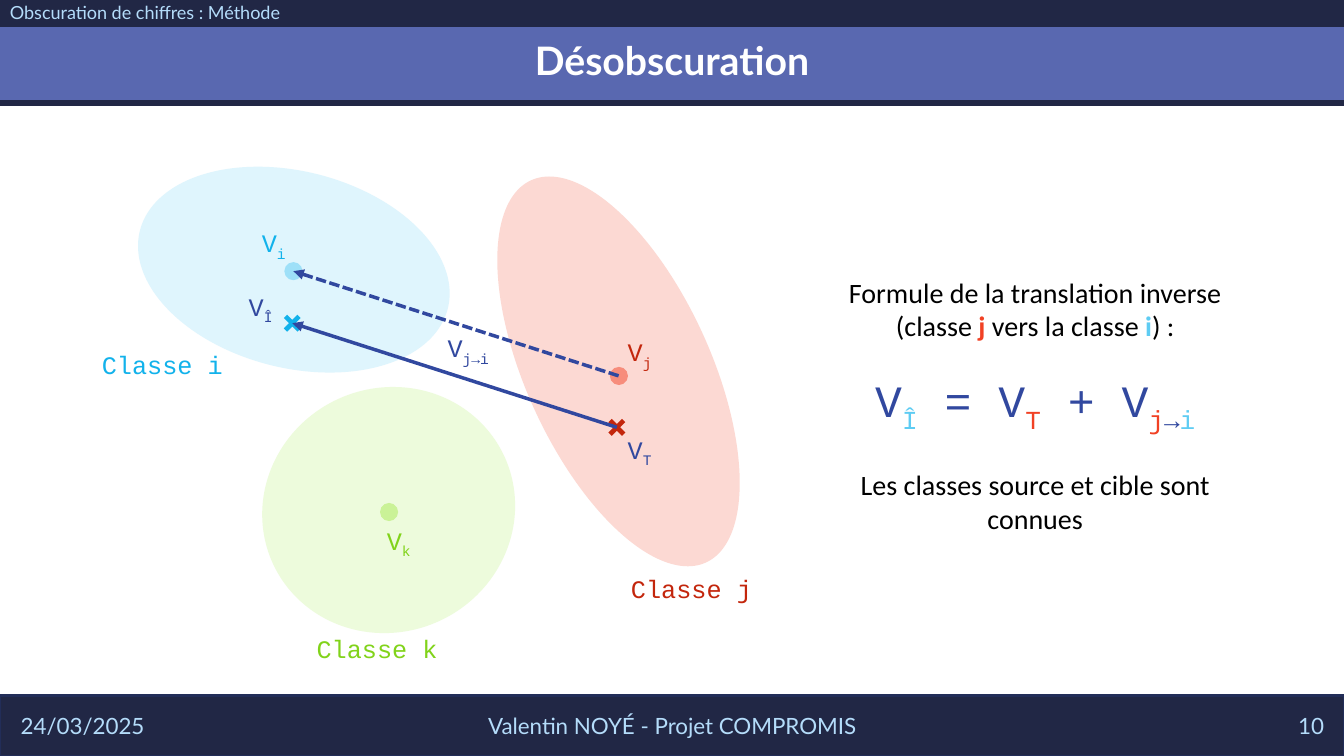
from lxml.etree import SubElement as Sub
from pptx import Presentation
from pptx.dml.color import RGBColor as RGB
from pptx.enum.dml import MSO_LINE as Dash
from pptx.enum.shapes import MSO_CONNECTOR as Link, MSO_SHAPE as Form
from pptx.enum.text import MSO_ANCHOR as Anchor, MSO_AUTO_SIZE as Fit, PP_ALIGN as Align
from pptx.oxml.ns import qn
from pptx.util import Inches, Pt

WIDE, HIGH = Inches(13.33), Inches(7.5)

NAVY = RGB(0x21, 0x27, 0x45)
EDGE = RGB(0x22, 0x2D, 0x58)
BAND = RGB(0x59, 0x68, 0xB0)
PALE = RGB(0xB4, 0xDC, 0xFA)
WHITE = RGB(0xFF, 0xFF, 0xFF)
BLACK = RGB(0x00, 0x00, 0x00)
INK = RGB(0x31, 0x48, 0x9F)
BLUE = RGB(0x12, 0xB2, 0xEB)
RED = RGB(0xC3, 0x26, 0x0C)
GREEN = RGB(0x81, 0xD3, 0x1A)
SKY = RGB(0x5E, 0xCC, 0xF3)
CORAL = RGB(0xF1, 0x41, 0x24)
BLUE_ZONE, BLUE_DOT = RGB(0xDF, 0xF5, 0xFD), RGB(0x9E, 0xE0, 0xF8)
RED_ZONE, RED_DOT = RGB(0xFC, 0xD9, 0xD3), RGB(0xF7, 0x8D, 0x7C)
GREEN_ZONE, GREEN_DOT = RGB(0xED, 0xFB, 0xDC), RGB(0xCA, 0xF2, 0x97)

SANS, MONO, BODY = "Lato", "Courier New", "Calibri"


def place(x, y, w, h):
    """Turn percentages of the slide into lengths."""
    return [round(part * side / 100)
            for part, side in zip((x, y, w, h), (WIDE, HIGH, WIDE, HIGH))]


def draw(slide, form, box, fill, edge=None, weight=0, turn=0):
    shape = slide.shapes.add_shape(form, *place(*box))
    shape.shadow.inherit = False
    shape.fill.solid()
    shape.fill.fore_color.rgb = fill
    shape.rotation = turn
    if edge is None:
        shape.line.fill.background()
    else:
        shape.line.color.rgb = edge
        shape.line.width = Pt(weight)
    return shape


def mark(slide, form, mid, size, fill):
    """Draw a small sign centred on a point."""
    (x, y), (w, h) = mid, size
    return draw(slide, form, (x - w / 2, y - h / 2, w, h), fill)


def arrow(slide, tip, base, dash=None):
    """Draw a line with its arrowhead at the tip."""
    x, y, end_x, end_y = place(*tip, *base)
    line = slide.shapes.add_connector(Link.STRAIGHT, x, y, end_x, end_y)
    line.line.color.rgb = INK
    line.line.width = Pt(2.5)
    if dash:
        line.line.dash_style = dash
    Sub(line.line._get_or_add_ln(), qn("a:headEnd"), type="triangle")
    Sub(line._element.spPr, qn("a:effectLst"))


def write(para, runs, font, size, align=Align.CENTER):
    """Add runs given as (text, colour, style), style being "", "bold" or "sub"."""
    para.alignment = align
    for text, color, style in runs:
        run = para.add_run()
        run.text = text
        run.font.name = font
        run.font.size = Pt(size)
        run.font.color.rgb = color
        run.font.bold = style == "bold"
        if style == "sub":
            run._r.get_or_add_rPr().set("baseline", "-25000")


def frame(slide, box, anchor=Anchor.TOP):
    area = slide.shapes.add_textbox(*place(*box)).text_frame
    area.word_wrap = True
    area.vertical_anchor = anchor
    return area


def banner(slide):
    # Bands
    draw(slide, Form.RECTANGLE, (0, 92, 100, 8), NAVY, EDGE, 1.5)
    draw(slide, Form.RECTANGLE, (-0.7, 3.2, 101.55, 10.4), BAND, NAVY, 4.5)
    draw(slide, Form.RECTANGLE, (-0.7, -2.67, 101.55, 6), NAVY)

    # Title, brought in front of the bands
    title = slide.shapes.title
    title.left, title.top, title.width, title.height = place(0, -1.33, 100, 19.33)
    area = title.text_frame
    area.auto_size = Fit.NONE
    area.vertical_anchor = Anchor.MIDDLE
    para = area.paragraphs[0]
    para.line_spacing = 0.9
    write(para, [("Désobscuration", WHITE, "bold")], SANS, 28)
    slide.shapes._spTree.append(title._element)

    # Section name
    para = frame(slide, (0, 0, 52.8, 3.87), Anchor.MIDDLE).paragraphs[0]
    para.line_spacing = 0.8
    write(para, [("Obscuration de chiffres : Méthode", PALE, "")], SANS, 12.9, Align.LEFT)

    # Footer
    for text, x, w, align in (
        ("24/03/2025", 0.8, 22.5, Align.LEFT),
        ("Valentin NOYÉ - Projet COMPROMIS", 33.15, 33.75, Align.CENTER),
        ("10", 76.75, 22.5, Align.RIGHT),
    ):
        area = frame(slide, (x, 93.33, w, 5.33), Anchor.MIDDLE)
        write(area.paragraphs[0], [(text, PALE, "")], SANS, 16, align)


def diagram(slide):
    dot_i, dot_j, dot_k = (21.83, 35.87), (46.05, 49.73), (28.95, 67.73)
    goal, start = (21.75, 42.75), (45.9, 56.53)

    # Class zones
    for box, turn, fill in (
        ((10.05, 22.67, 23.63, 26), 14.2, BLUE_ZONE),
        ((19.43, 51.33, 18.98, 32.27), 333.6, GREEN_ZONE),
        ((30.38, 36.93, 31.28, 24.4), 65.4, RED_ZONE),
    ):
        draw(slide, Form.OVAL, box, fill, turn=turn)

    # Class centres, vectors and points
    for mid, fill in ((dot_i, BLUE_DOT), (dot_j, RED_DOT), (dot_k, GREEN_DOT)):
        mark(slide, Form.OVAL, mid, (1.35, 2.4), fill)
    arrow(slide, dot_i, dot_j, Dash.SQUARE_DOT)
    for mid, fill in ((start, RED), (goal, BLUE)):
        cross = mark(slide, Form.MATH_MULTIPLY, mid, (1.95, 3.47), fill)
        cross.adjustments[0] = 0.18
    arrow(slide, goal, start)

    # Vector labels
    for sub, x, y, color in (
        ("j→i", 31.58, 43.33, INK),
        ("i", 17.1, 29.47, BLUE),
        ("j", 44.33, 43.87, RED),
        ("k", 26.4, 68.8, GREEN),
        ("Î", 16.13, 37.87, INK),
        ("T", 44.33, 56.8, INK),
    ):
        area = frame(slide, (x, y, 6.53, 5.33))
        write(area.paragraphs[0], [("V", color, ""), (sub, color, "sub")], MONO, 18)

    # Class labels
    for name, x, y, color in (
        ("i", 6.23, 45.6, BLUE),
        ("j", 45.6, 75.2, RED),
        ("k", 22.2, 83.07, GREEN),
    ):
        area = frame(slide, (x, y, 11.7, 5.33))
        write(area.paragraphs[0], [("Classe " + name, color, "")], MONO, 18)


def formula(slide):
    area = frame(slide, (61.05, 35.73, 31.95, 35.07))
    intro = [
        ("Formule de la translation inverse (classe ", BLACK, ""),
        ("j", CORAL, "bold"),
        (" vers la classe ", BLACK, ""),
        ("i", SKY, "bold"),
        (") :", BLACK, ""),
    ]
    terms = [
        ("V", INK, ""), ("Î", SKY, "sub"),
        (" = V", INK, ""), ("T", CORAL, "sub"),
        (" + V", INK, ""), ("j", CORAL, "sub"), ("→", INK, "sub"), ("i", SKY, "sub"),
    ]
    note = [("Les classes source et cible sont connues", BLACK, "")]
    write(area.paragraphs[0], intro, BODY, 20)
    for runs, font, size, gap in ((terms, MONO, 32, 22), (note, BODY, 20, 24)):
        para = area.add_paragraph()
        para.space_before = Pt(gap)
        write(para, runs, font, size)


def main():
    deck = Presentation()
    deck.slide_width, deck.slide_height = WIDE, HIGH
    slide = deck.slides.add_slide(deck.slide_layouts[5])
    banner(slide)
    diagram(slide)
    formula(slide)
    deck.save("out.pptx")


if __name__ == "__main__":
    main()
